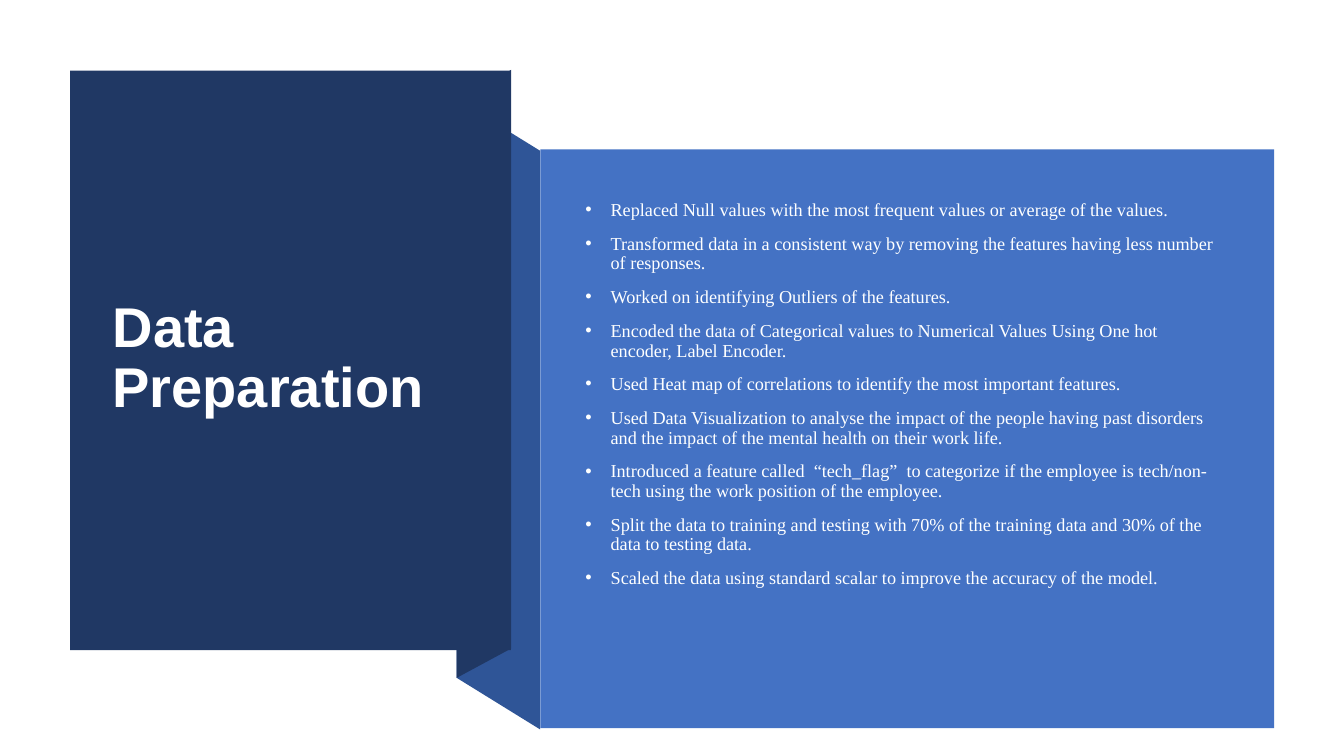
from lxml import etree
from pptx import Presentation
from pptx.dml.color import RGBColor
from pptx.enum.shapes import MSO_SHAPE
from pptx.enum.text import MSO_ANCHOR
from pptx.oxml.ns import qn
from pptx.util import Pt

RECTANGLE = MSO_SHAPE.RECTANGLE
MIDDLE = MSO_ANCHOR.MIDDLE

# Content
TITLE = "Data Preparation"
STEPS = [
    "Replaced Null values with the most frequent values or average of the values.",
    "Transformed data in a consistent way by removing the features having less number of responses.",
    "Worked on identifying Outliers of the features.",
    "Encoded the data of Categorical values to Numerical Values Using One hot encoder, Label Encoder.",
    "Used Heat map of correlations to identify the most important features.",
    "Used Data Visualization to analyse the impact of the people having past disorders "
    "and the impact of the mental health on their work life.",
    "Introduced a feature called  “tech_flag”  to categorize if the employee is "
    "tech/non-tech using the work position of the employee.",
    "Split the data to training and testing with 70% of the training data and 30% of the data to testing data.",
    "Scaled the data using standard scalar to improve the accuracy of the model.",
]

# Colours
NAVY = RGBColor(0x20, 0x38, 0x64)
FOLD_BLUE = RGBColor(0x2F, 0x55, 0x97)
PANEL_BLUE = RGBColor(0x44, 0x72, 0xC4)
WHITE = RGBColor(0xFF, 0xFF, 0xFF)
STEP_WHITE = RGBColor(0xFE, 0xFF, 0xFF)

# Layout in points: left, top, width, height
TITLE_PANEL = (50, 50.4, 315, 414)
STEPS_PANEL = (385.9, 106.8, 524.2, 413.3)
TITLE_BOX = (73.4, 77, 267.1, 359.3)
STEPS_BOX = (411.1, 135.4, 468.7, 293)
FOLD_LEFT = 326.2
FOLD_TOP = 70.9
FOLD_HEIGHT = 413.3
BULLET_INDENT = 18

presentation = Presentation()
presentation.slide_width = Pt(960)
presentation.slide_height = Pt(540)
slide = presentation.slides.add_slide(presentation.slide_layouts[6])
shapes = slide.shapes


def paint(shape, color):
    shape.shadow.inherit = False
    shape.fill.solid()
    shape.fill.fore_color.rgb = color
    shape.line.fill.background()


def add_panel(box, color):
    paint(shapes.add_shape(RECTANGLE, *map(Pt, box)), color)


def add_fold(right, right_top, color):
    """Slanted band from the fold's left edge to a panel's edge."""
    corners = [
        (FOLD_LEFT, FOLD_TOP),
        (right, right_top),
        (right, right_top + FOLD_HEIGHT),
        (FOLD_LEFT, FOLD_TOP + FOLD_HEIGHT),
    ]
    points = [(Pt(x), Pt(y)) for x, y in corners]
    outline = shapes.build_freeform(*points[0], scale=1.0)
    outline.add_line_segments(points[1:], close=True)
    paint(outline.convert_to_shape(), color)


def add_text(box, lines, font_name, size, color, bold=False):
    frame = shapes.add_textbox(*map(Pt, box)).text_frame
    frame.word_wrap = True
    frame.vertical_anchor = MIDDLE
    frame.text = "\n".join(lines)
    for paragraph in frame.paragraphs:
        paragraph.line_spacing = 0.9
        paragraph.font.name = font_name
        paragraph.font.size = Pt(size)
        paragraph.font.bold = bold
        paragraph.font.color.rgb = color
    return frame.paragraphs


def add_bullet(paragraph):
    paragraph.space_before = Pt(10)
    properties = paragraph._p.get_or_add_pPr()
    properties.set("marL", str(Pt(BULLET_INDENT)))
    properties.set("indent", str(-Pt(BULLET_INDENT)))
    bullet_font = etree.Element(qn("a:buFont"), typeface="Arial")
    bullet = etree.Element(qn("a:buChar"), char="•")
    run_defaults = properties.find(qn("a:defRPr"))
    run_defaults.addprevious(bullet_font)
    run_defaults.addprevious(bullet)


# Folded ribbon and title panel
add_fold(STEPS_PANEL[0], 107.8, FOLD_BLUE)
add_fold(TITLE_PANEL[0] + TITLE_PANEL[2], 50, NAVY)
add_panel(TITLE_PANEL, NAVY)
add_text(TITLE_BOX, [TITLE], "Arial", 40, WHITE, bold=True)

# Preparation steps
add_panel(STEPS_PANEL, PANEL_BLUE)
for step in add_text(STEPS_BOX, STEPS, "Times New Roman", 13, STEP_WHITE):
    add_bullet(step)

presentation.save("out.pptx")
